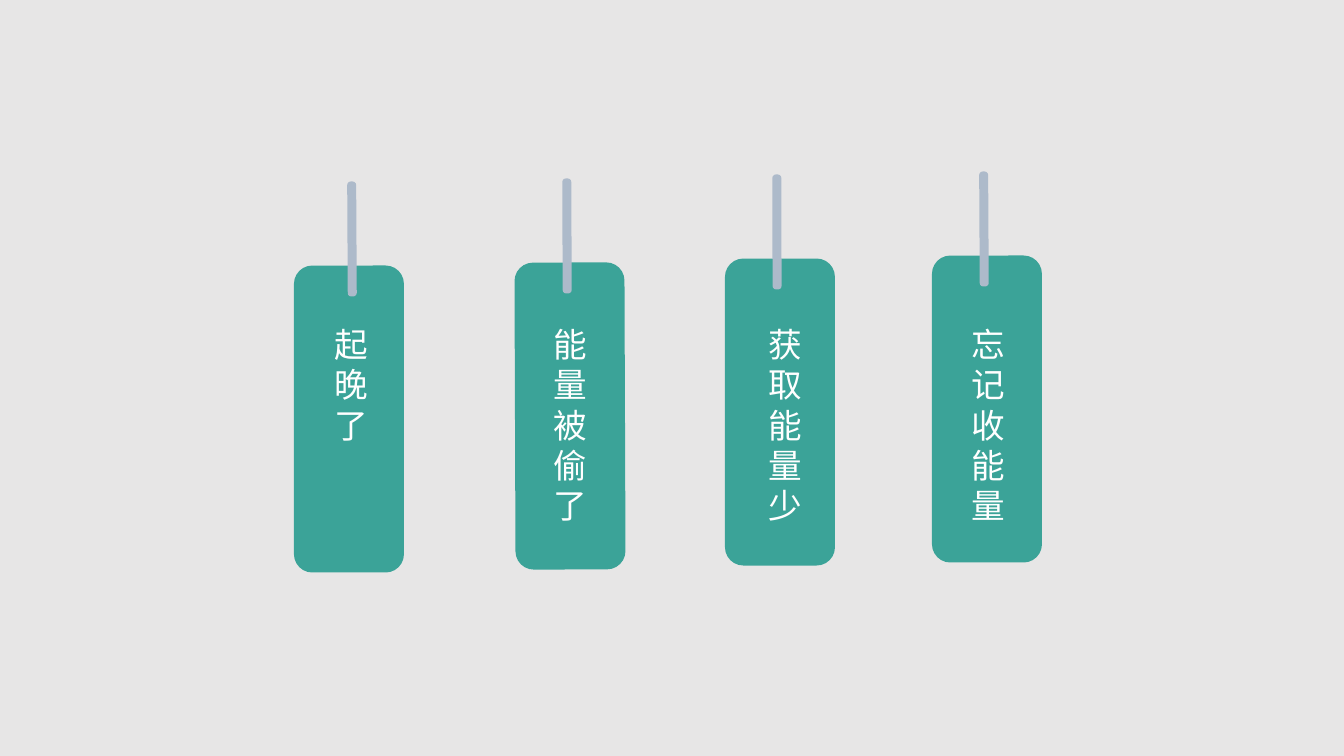
from pptx import Presentation
from pptx.dml.color import RGBColor
from pptx.enum.shapes import MSO_SHAPE
from pptx.enum.text import MSO_AUTO_SIZE, PP_ALIGN
from pptx.util import Emu, Pt

BACKGROUND = RGBColor(0xE7, 0xE6, 0xE6)
TAG_GREEN = RGBColor(0x3B, 0xA3, 0x98)
CORD_GREY = RGBColor(0xAD, 0xBA, 0xCA)
WHITE = RGBColor(0xFF, 0xFF, 0xFF)
FONT = "Noto Sans CJK SC"

EMU_PER_PX = 914400 / 100.8
SLIDE_WIDTH, SLIDE_HEIGHT = 1344, 756
TAG_LENGTH, TAG_BREADTH = 307, 110
CORD_WIDTH, CORD_LENGTH = 9, 115
FIRST_TAG_MIDDLE, TAG_RISE = 419, 3.4
CORD_ABOVE_TAG = 180
LABEL_TOP, LABEL_WIDTH, LABEL_LINE, LABEL_INSETS = 319, 45, 41, 10

# label, label left, tag centre, tag rotation, cord centre, cord rotation
TAGS = [
    ("起晚了", 325, 349, 270, 352, 359.7),
    ("能量被偷了", 544, 570, 269.8, 567, 359.8),
    ("获取能量少", 759, 780, 270, 777, 359.9),
    ("忘记收能量", 962, 987, 270, 984, 359.7),
]


def px(length):
    return Emu(round(length * EMU_PER_PX))


def add_rounded_bar(shapes, center_x, center_y, width, height, rotation, color):
    bar = shapes.add_shape(
        MSO_SHAPE.ROUNDED_RECTANGLE,
        px(center_x - width / 2), px(center_y - height / 2), px(width), px(height),
    )
    bar.rotation = rotation
    bar.shadow.inherit = False
    bar.fill.solid()
    bar.fill.fore_color.rgb = color
    bar.line.fill.background()
    return bar


def add_hanging_tag(slide, middle, tag_x, tag_rotation, cord_x, cord_rotation):
    group = slide.shapes.add_group_shape()
    add_rounded_bar(group.shapes, tag_x, middle, TAG_LENGTH, TAG_BREADTH,
                    tag_rotation, TAG_GREEN)
    cord = add_rounded_bar(group.shapes, cord_x, middle - CORD_ABOVE_TAG,
                           CORD_WIDTH, CORD_LENGTH, cord_rotation, CORD_GREY)
    cord.adjustments[0] = 0.39


def add_stacked_label(slide, text, left):
    """Add a box so narrow that each character wraps onto its own line."""
    height = LABEL_INSETS + LABEL_LINE * len(text)
    label = slide.shapes.add_textbox(px(left), px(LABEL_TOP), px(LABEL_WIDTH), px(height))
    text_frame = label.text_frame
    text_frame.word_wrap = True
    text_frame.auto_size = MSO_AUTO_SIZE.SHAPE_TO_FIT_TEXT
    text_frame.text = text
    paragraph = text_frame.paragraphs[0]
    paragraph.alignment = PP_ALIGN.CENTER
    font = paragraph.runs[0].font
    font.name = FONT
    font.size = Pt(24)
    font.color.rgb = WHITE


def main():
    presentation = Presentation()
    presentation.slide_width = px(SLIDE_WIDTH)
    presentation.slide_height = px(SLIDE_HEIGHT)
    slide = presentation.slides.add_slide(presentation.slide_layouts[6])
    slide.background.fill.solid()
    slide.background.fill.fore_color.rgb = BACKGROUND

    for index, (text, label_left, *hanging) in enumerate(TAGS):
        middle = FIRST_TAG_MIDDLE - round(index * TAG_RISE)
        add_hanging_tag(slide, middle, *hanging)
        add_stacked_label(slide, text, label_left)

    presentation.save("out.pptx")


if __name__ == "__main__":
    main()
